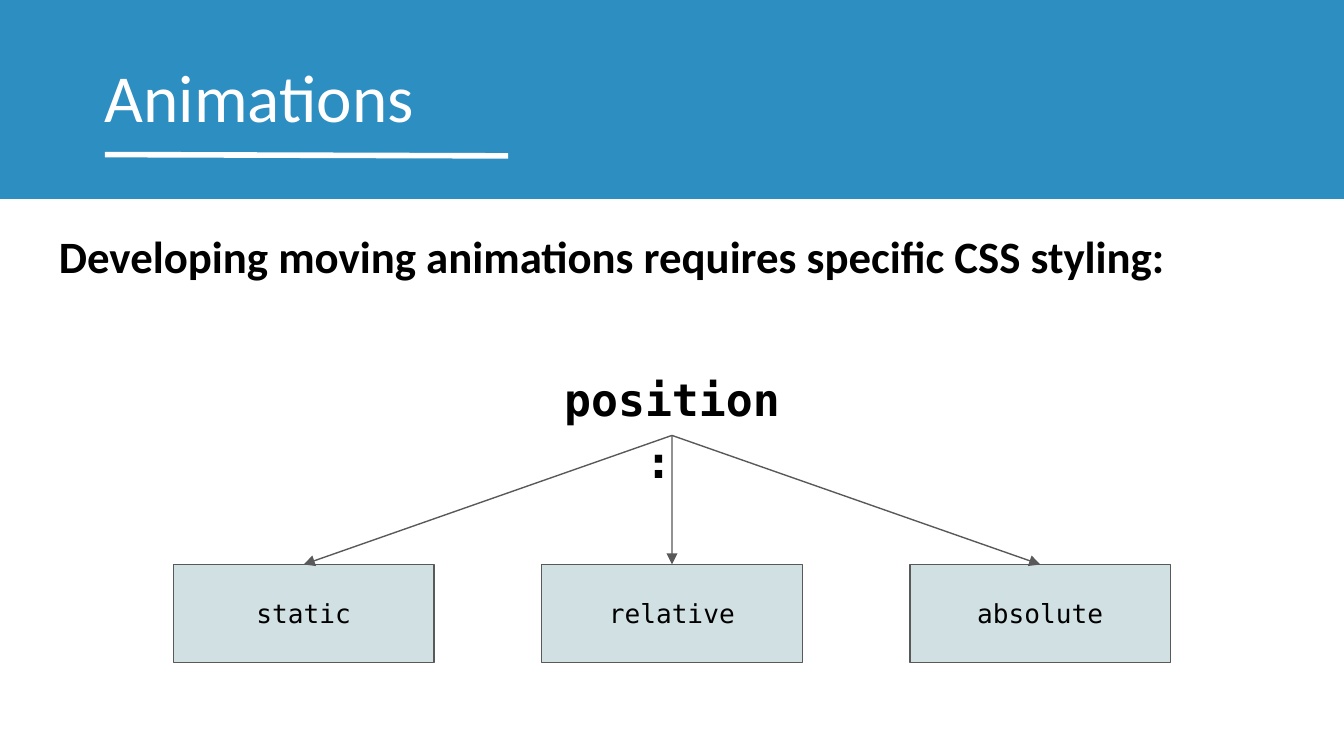
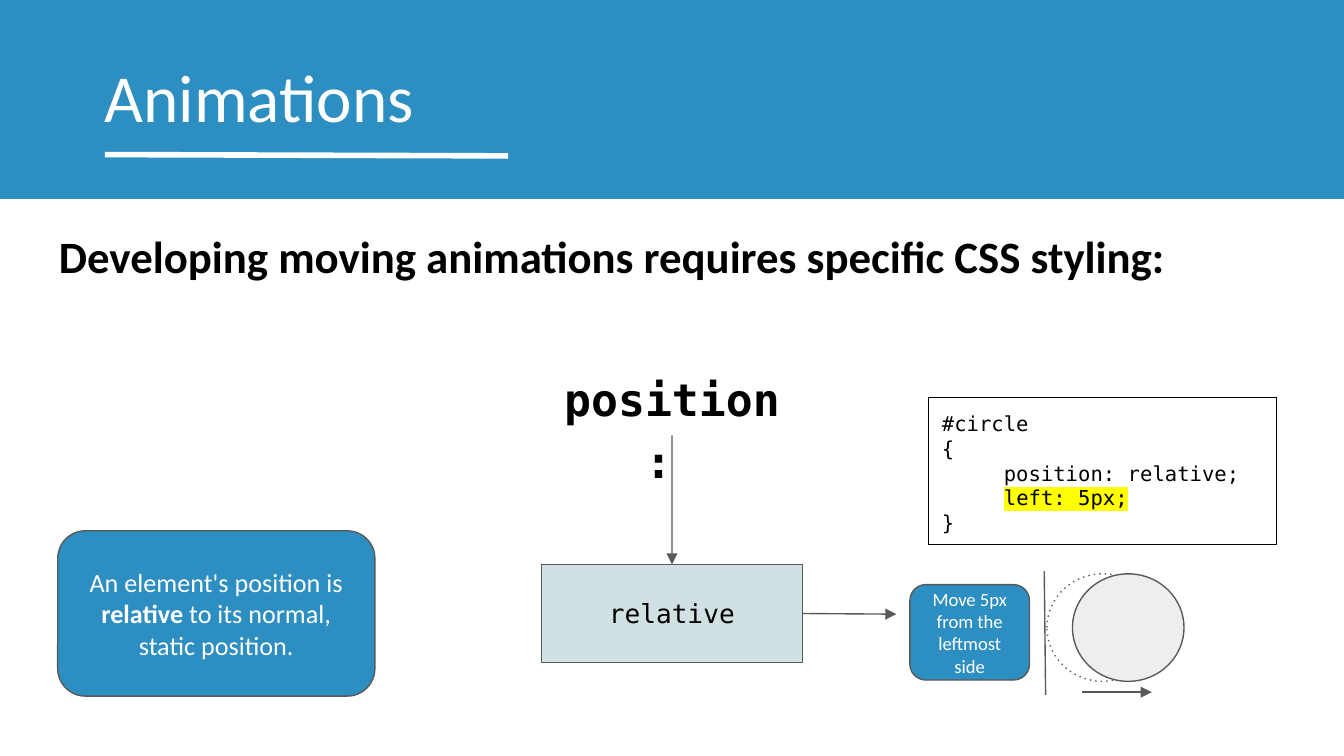
from lxml import etree
from pptx import Presentation
from pptx import util as u
from pptx.dml.color import RGBColor
from pptx.enum import shapes, text
from pptx.oxml import ns

BLUE = RGBColor(0x2D, 0x8E, 0xC2)
PALE = RGBColor(0xD0, 0xE0, 0xE3)
GREY = RGBColor(0x59, 0x59, 0x59)
LIGHT = RGBColor(0xEE, 0xEE, 0xEE)
WHITE = RGBColor(0xFF, 0xFF, 0xFF)
BLACK = RGBColor(0x00, 0x00, 0x00)
HIGHLIGHT = "FFFF00"
SANS, MONO = "Calibri", "DejaVu Sans Mono"
CENTER = text.PP_ALIGN.CENTER
MIDDLE = text.MSO_ANCHOR.MIDDLE
Kind = shapes.MSO_SHAPE
TOP_SITE, BOTTOM_SITE, RIGHT_SITE = 0, 2, 3
VALUE_LEFT, VALUE_STEP, VALUE_TOP = 1.29, 2.74, 4.2
VALUE_SIZE = (1.94, 0.73)


def inches(*lengths):
    """Turn plain numbers into lengths."""
    return [u.Inches(length) for length in lengths]


def write(shape, paragraphs, size, font, color, align=None, anchor=text.MSO_ANCHOR.TOP,
          bold=False, spacing=None):
    """Fill a shape with paragraphs, each a list of (words, emphasis) runs."""
    frame = shape.text_frame
    frame.word_wrap = True
    frame.vertical_anchor = anchor
    frame.margin_left = frame.margin_right = u.Inches(0.1)
    frame.margin_top = frame.margin_bottom = u.Inches(0.1)
    for index, runs in enumerate(paragraphs):
        paragraph = frame.add_paragraph() if index else frame.paragraphs[0]
        paragraph.alignment = align or text.PP_ALIGN.LEFT
        paragraph.line_spacing = spacing
        for words, emphasis in runs:
            run = paragraph.add_run()
            run.text = words
            run.font.size = u.Pt(size)
            run.font.name = font
            run.font.bold = bold or emphasis == "bold"
            run.font.color.rgb = color
            if emphasis == "mark":
                mark(run)


def mark(run):
    """Highlight a run."""
    highlight = etree.Element(ns.qn("a:highlight"))
    etree.SubElement(highlight, ns.qn("a:srgbClr"), val=HIGHLIGHT)
    run.font._element.find(ns.qn("a:latin")).addprevious(highlight)


def style_line(shape, tag, **attributes):
    """Add a dash or an arrowhead to the line of a shape."""
    outline = shape._element.spPr.find(ns.qn("a:ln"))
    etree.SubElement(outline, ns.qn(tag), **attributes)


def add_text(slide, box, words, size, font, color, **style):
    """Add a text box with one run."""
    label = slide.shapes.add_textbox(*inches(*box))
    write(label, [[(words, None)]], size, font, color, **style)
    return label


def add_block(slide, kind, box, fill=None, line=GREY):
    """Add a preset shape with optional fill and outline."""
    block = slide.shapes.add_shape(kind, *inches(*box))
    block.shadow.inherit = False
    if fill is None:
        block.fill.background()
    else:
        block.fill.solid()
        block.fill.fore_color.rgb = fill
    if line is None:
        block.line.fill.background()
    else:
        block.line.color.rgb = line
        block.line.width = u.Pt(0.75)
    return block


def add_line(slide, start, end, color=GREY, width=0.75, arrow=True):
    """Add a straight line, with an arrowhead at its end by default."""
    line = slide.shapes.add_connector(
        shapes.MSO_CONNECTOR.STRAIGHT, *inches(*start, *end))
    line.line.color.rgb = color
    line.line.width = u.Pt(width)
    if arrow:
        style_line(line, "a:tailEnd", type="triangle")
    etree.SubElement(line._element.spPr, ns.qn("a:effectLst"))
    return line


def add_callout(slide, box, runs, size):
    """Add a rounded blue note."""
    note = add_block(slide, Kind.ROUNDED_RECTANGLE, box, BLUE)
    write(note, [runs], size, SANS, WHITE, CENTER, MIDDLE)


def add_value(slide, prop, word, column):
    """Add a position value box with an arrow from the property name."""
    left = VALUE_LEFT + column * VALUE_STEP
    value = add_block(slide, Kind.RECTANGLE, (left, VALUE_TOP, *VALUE_SIZE), PALE)
    write(value, [[(word, None)]], 14, MONO, BLACK, CENTER, MIDDLE)
    arrow = add_line(slide, (5, 3.24), (left + VALUE_SIZE[0] / 2, VALUE_TOP))
    arrow.begin_connect(prop, BOTTOM_SITE)
    arrow.end_connect(value, TOP_SITE)
    return value


def add_frame(deck):
    """Start a slide with band, title, lead sentence and property name."""
    slide = deck.slides.add_slide(deck.slide_layouts[6])
    add_block(slide, Kind.RECTANGLE, (0, 0, 10, 1.48), BLUE, None)
    add_line(slide, (0.78, 1.15), (3.78, 1.16), WHITE, 3, arrow=False)
    add_text(slide, (0.68, 0.31, 9.32, 0.63), "Animations", 36, SANS, WHITE)
    add_text(slide, (0.34, 1.54, 9.32, 0.73),
             "Developing moving animations requires specific CSS styling:",
             24, SANS, BLACK, bold=True, spacing=1.15)
    prop = add_text(slide, (4.06, 2.61, 1.88, 0.63), "position: ", 24, MONO, BLACK,
                    align=CENTER, bold=True, spacing=1.15)
    return slide, prop


def build_values(deck):
    """Build the overview of position values."""
    slide, prop = add_frame(deck)
    for column, word in enumerate(("static", "relative", "absolute")):
        add_value(slide, prop, word, column)


def build_relative(deck):
    """Build the example of relative positioning."""
    slide, prop = add_frame(deck)
    relative = add_value(slide, prop, "relative", 1)
    to_example = add_line(slide, (5.97, 4.57), (6.67, 4.57))
    to_example.begin_connect(relative, RIGHT_SITE)

    start_circle = add_block(slide, Kind.OVAL, (7.79, 4.27, 0.83, 0.8), WHITE)
    style_line(start_circle, "a:prstDash", val="dot")
    code = add_block(slide, Kind.RECTANGLE, (6.91, 2.96, 2.59, 1.09), line=BLACK)
    write(code, [
        [("#circle", None)],
        [("{", None)],
        [("     position: relative;", None)],
        [("     ", None), ("left: 5px;", "mark")],
        [("}", None)],
    ], 11, MONO, BLACK)
    add_block(slide, Kind.OVAL, (7.98, 4.27, 0.83, 0.8), LIGHT)
    add_line(slide, (8.05, 5.15), (8.57, 5.15))
    add_line(slide, (7.77, 4.25), (7.78, 5.17), arrow=False)

    add_callout(slide, (0.43, 3.95, 2.36, 1.23), [
        ("An element's position is ", None),
        ("relative", "bold"),
        (" to its normal, static position.", None),
    ], 14)
    add_callout(slide, (6.77, 4.35, 0.89, 0.71),
                [("Move 5px from the leftmost side", None)], 10)


def main():
    """Build and save the deck."""
    deck = Presentation()
    deck.slide_width = u.Inches(10)
    deck.slide_height = u.Inches(10 * 9 / 16)
    build_values(deck)
    build_relative(deck)
    deck.save("out.pptx")


if __name__ == "__main__":
    main()
